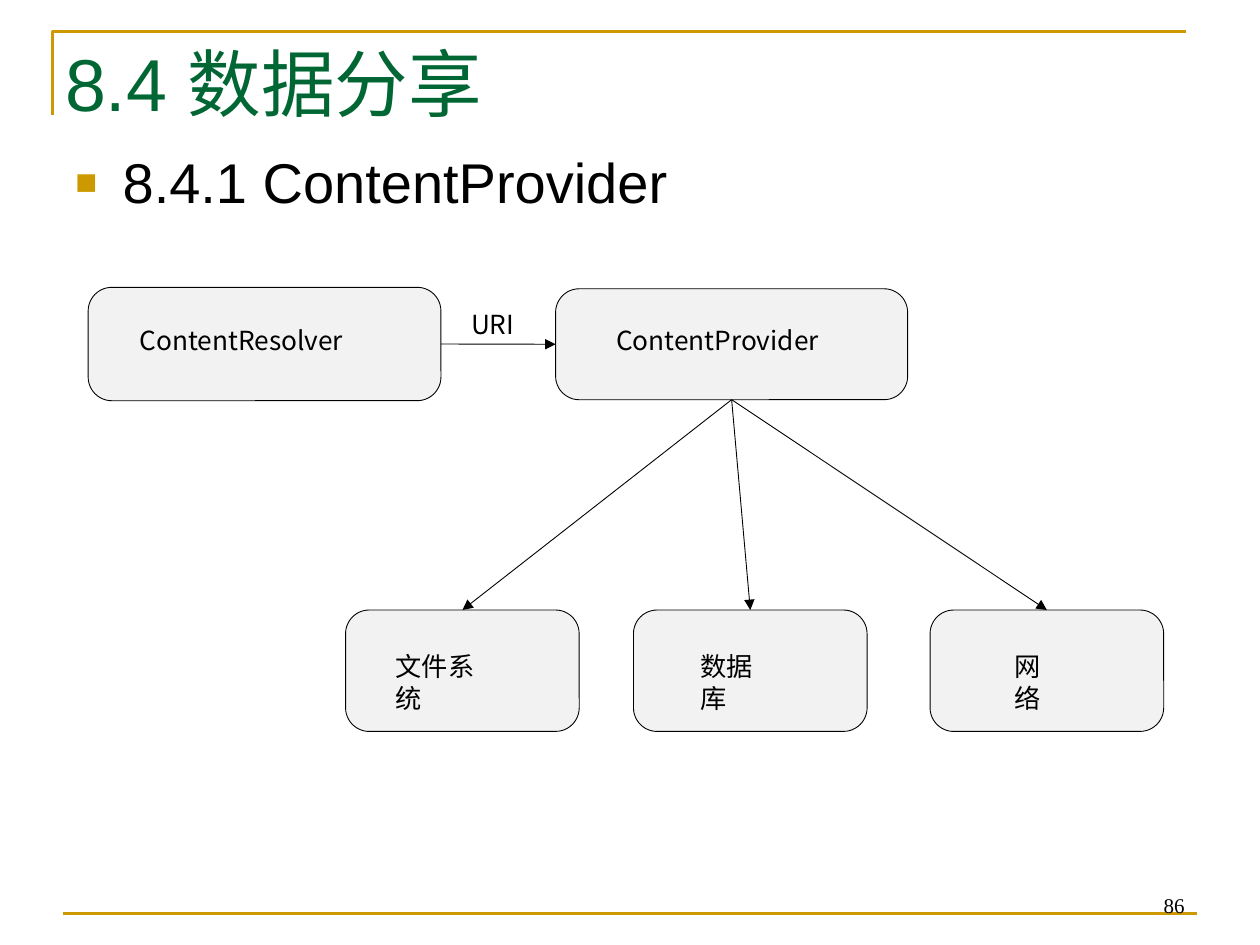
from lxml import etree
from pptx import Presentation
from pptx import util as u
from pptx.dml.color import RGBColor
from pptx.enum import shapes, text
from pptx.oxml import ns

GOLD = RGBColor(0xCC, 0x99, 0x00)
GREEN = RGBColor(0x00, 0x66, 0x33)
BLACK = RGBColor(0x00, 0x00, 0x00)
GRAY = RGBColor(0xF2, 0xF2, 0xF2)
CJK = "Noto Sans CJK SC"
RADIUS = 13.5
CORNER_INSET = RADIUS * 0.29
TOP, LEFT, BOTTOM, RIGHT = range(4)


def points(*values):
    return [u.Pt(value) for value in values]


def add_element(parent, tag, **attributes):
    return etree.SubElement(parent, ns.qn(tag), attributes)


def set_attributes(target, formats):
    for name, value in formats.items():
        setattr(target, name, value)


def add_run(paragraph, content, size, font_name, color):
    run = paragraph.add_run()
    run.text = content
    set_attributes(run.font, {"size": u.Pt(size), "name": font_name})
    run.font.color.rgb = color
    add_element(run.font._element, "a:ea", typeface=CJK)


def format_line(line, color, width):
    line.color.rgb = color
    line.width = u.Pt(width)


def add_text(slide, bounds, content, size, font_name, anchor, alignment):
    shape = slide.shapes.add_textbox(*points(*bounds))
    set_attributes(shape.text_frame, {"word_wrap": True, "vertical_anchor": anchor})
    paragraph = shape.text_frame.paragraphs[0]
    paragraph.alignment = alignment
    add_run(paragraph, content, size, font_name, BLACK)
    return paragraph


def add_bullet(paragraph, indent):
    properties = paragraph._p.get_or_add_pPr()
    properties.set("marL", str(u.Pt(indent)))
    properties.set("indent", str(-u.Pt(indent)))
    color = add_element(properties, "a:buClr")
    add_element(color, "a:srgbClr", val=str(GOLD))
    add_element(properties, "a:buSzPct", val="65000")
    add_element(properties, "a:buFont", typeface="Arial")
    add_element(properties, "a:buChar", char="■")


def add_title(slide):
    title = slide.shapes.title
    bounds = points(30, 18, 330, 60)
    set_attributes(title, dict(zip(("left", "top", "width", "height"), bounds)))
    set_attributes(title.text_frame, {
        "word_wrap": True,
        "auto_size": text.MSO_AUTO_SIZE.NONE,
        "vertical_anchor": text.MSO_ANCHOR.TOP,
    })
    paragraph = title.text_frame.paragraphs[0]
    paragraph.alignment = text.PP_ALIGN.LEFT
    add_run(paragraph, "8.4 ", 42, "Arial", GREEN)
    add_run(paragraph, "数据分享", 42, CJK, GREEN)


def add_node(slide, bounds, label, label_left, label_top, label_width):
    left, top, width, height = bounds
    shape = slide.shapes.add_shape(
        shapes.MSO_SHAPE.ROUNDED_RECTANGLE, *points(*bounds))
    shape.adjustments[0] = RADIUS / height
    shape.shadow.inherit = False
    shape.fill.solid()
    shape.fill.fore_color.rgb = GRAY
    format_line(shape.line, BLACK, 0.5)
    set_attributes(shape.text_frame, {
        "word_wrap": True,
        "vertical_anchor": text.MSO_ANCHOR.TOP,
        "margin_left": u.Pt(label_left - CORNER_INSET),
        "margin_top": u.Pt(label_top - CORNER_INSET),
        "margin_right": u.Pt(width - label_left - label_width - CORNER_INSET),
        "margin_bottom": 0,
    })
    paragraph = shape.text_frame.paragraphs[0]
    paragraph.alignment = text.PP_ALIGN.LEFT
    add_run(paragraph, label, 15, CJK, BLACK)
    return shape


def add_line(slide, bounds, color, width):
    connector = slide.shapes.add_connector(
        shapes.MSO_CONNECTOR.STRAIGHT, *points(*bounds))
    format_line(connector.line, color, width)
    add_element(connector._element.spPr, "a:effectLst")
    return connector


def add_arrow(slide, source, source_site, target, target_site):
    connector = add_line(slide, (0, 0, 0, 0), BLACK, 0.5)
    connector.begin_connect(source, source_site)
    connector.end_connect(target, target_site)
    add_element(connector.line._get_or_add_ln(), "a:tailEnd", type="triangle")


def add_frame(slide):
    builder = slide.shapes.build_freeform(30, 66, scale=u.Pt(1))
    builder.add_line_segments([(30, 18), (678, 18)], close=False)
    corner = builder.convert_to_shape()
    corner.shadow.inherit = False
    corner.fill.background()
    format_line(corner.line, GOLD, 1.5)
    add_line(slide, (36, 522, 684, 522), GOLD, 1.5)


def add_diagram(slide):
    resolver = add_node(slide, (50.4, 164.2, 201.6, 64.8),
                        "ContentResolver", 29.5, 20.8, 151)
    provider = add_node(slide, (317.5, 165, 201.2, 63.4),
                        "ContentProvider", 34.6, 20, 143)
    add_arrow(slide, resolver, RIGHT, provider, LEFT)
    sources = [
        (197.5, "文件系统", 28.6, 47.5),
        (362, "数据库", 38.3, 37.4),
        (531.5, "网络", 48.1, 28),
    ]
    for left, label, label_left, label_width in sources:
        node = add_node(slide, (left, 348.6, 133.5, 69.4),
                        label, label_left, 23, label_width)
        add_arrow(slide, provider, BOTTOM, node, TOP)
    add_text(slide, (262.1, 172.8, 51.8, 28.8), "URI", 15, CJK,
             text.MSO_ANCHOR.TOP, text.PP_ALIGN.LEFT)


def main():
    presentation = Presentation()
    set_attributes(presentation, {"slide_width": u.Pt(720), "slide_height": u.Pt(540)})
    slide = presentation.slides.add_slide(presentation.slide_layouts[5])
    add_frame(slide)
    add_text(slide, (516, 492, 168, 36), "86", 12, "Times New Roman",
             text.MSO_ANCHOR.BOTTOM, text.PP_ALIGN.RIGHT)
    add_title(slide)
    heading = add_text(slide, (36, 81, 642, 48), "8.4.1 ContentProvider", 32,
                       "Arial", text.MSO_ANCHOR.TOP, text.PP_ALIGN.LEFT)
    add_bullet(heading, 27)
    add_diagram(slide)
    presentation.save("out.pptx")


if __name__ == "__main__":
    main()
